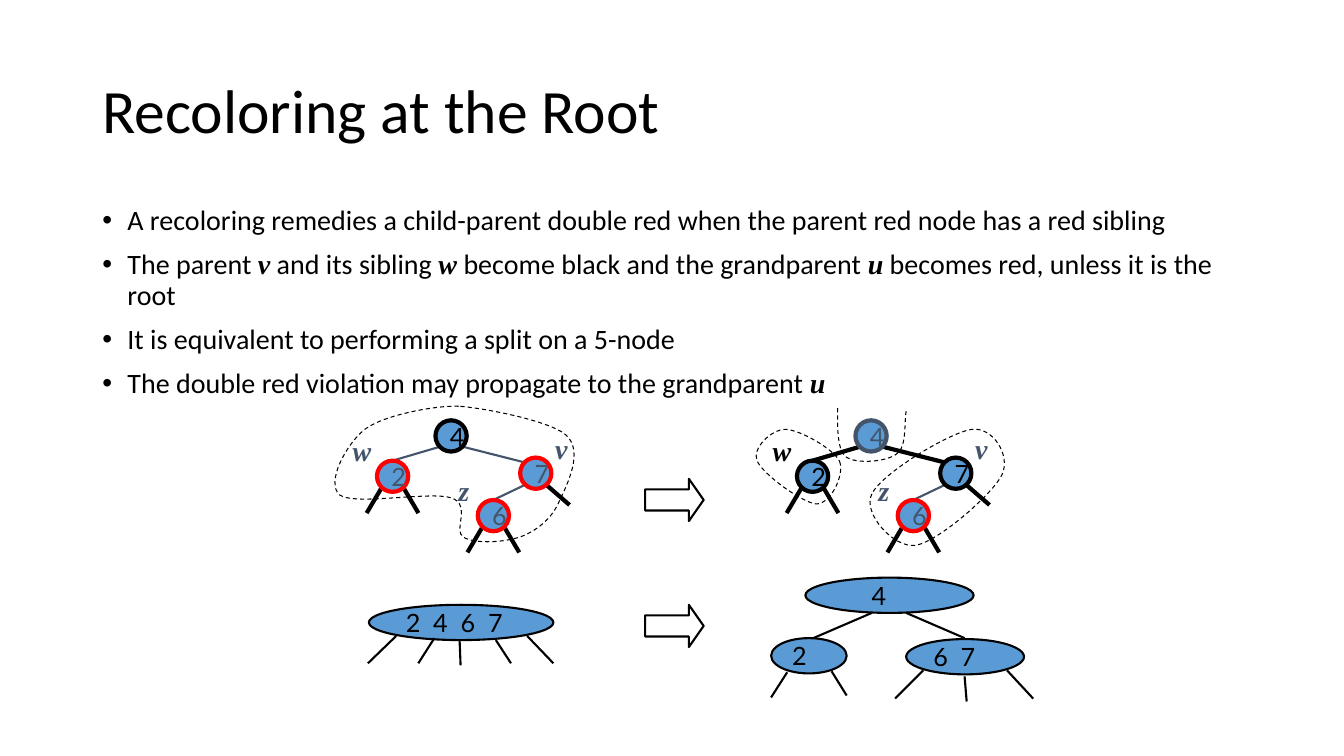
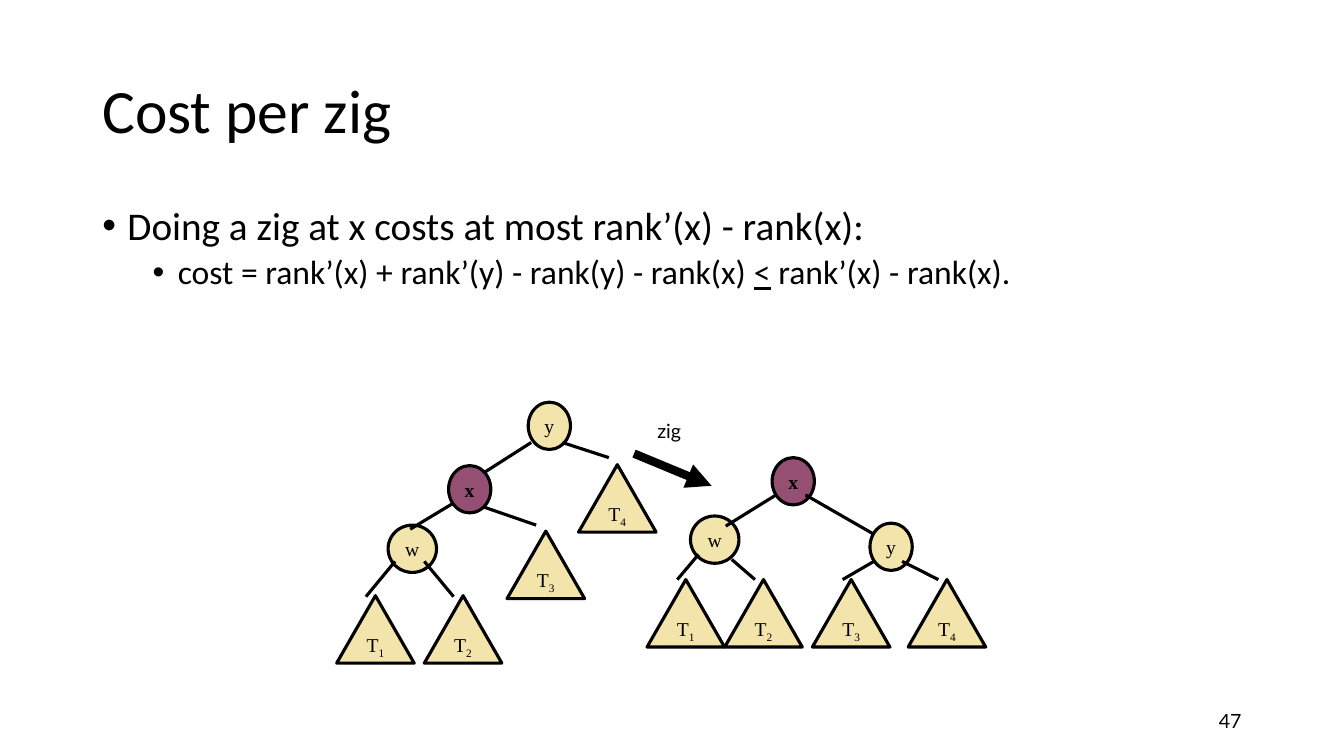
"""Build two slides on balanced search trees."""
from dataclasses import dataclass
from typing import NamedTuple, Optional

from lxml import etree
from pptx import Presentation
from pptx.dml.color import RGBColor
from pptx.enum import dml, shapes, text
from pptx.oxml import ns
from pptx.util import Pt

BLACK = RGBColor(0x00, 0x00, 0x00)
RED = RGBColor(0xFF, 0x00, 0x00)
SLATE = RGBColor(0x44, 0x54, 0x6A)
BLUE = RGBColor(0x5B, 0x9B, 0xD5)
CREAM = RGBColor(0xF2, 0xE4, 0xAA)
PLUM = RGBColor(0x95, 0x4F, 0x72)
BODY, NODE, SERIF = "Calibri", "Lato", "Times New Roman"
LEFT, CENTER, RIGHT = text.PP_ALIGN.LEFT, text.PP_ALIGN.CENTER, text.PP_ALIGN.RIGHT
TOP, MIDDLE = text.MSO_ANCHOR.TOP, text.MSO_ANCHOR.MIDDLE
OVAL = shapes.MSO_SHAPE.OVAL
TRIANGLE = shapes.MSO_SHAPE.ISOSCELES_TRIANGLE
ARROW = shapes.MSO_SHAPE.RIGHT_ARROW
DIAMETER = 22.3
KEY_PITCH = 19.6
TREE_SHIFT = 300


class Box(NamedTuple):
    x: float
    y: float
    w: float
    h: float


class Point(NamedTuple):
    x: float
    y: float

    def move(self, dx: float, dy: float) -> "Point":
        return Point(self.x + dx, self.y + dy)


class Edge(NamedTuple):
    x1: float
    y1: float
    x2: float
    y2: float


class Tone(NamedTuple):
    line: RGBColor
    ink: RGBColor


@dataclass(frozen=True)
class BinaryTree:
    dx: float
    root: Tone
    children: Tone
    w_ink: RGBColor
    edge: RGBColor
    edge_width: float


@dataclass(frozen=True)
class MultiNode:
    box: Box
    keys: str
    legs: tuple
    inset: float = 7.2


@dataclass(frozen=True)
class SplayNode:
    x: float
    y: float
    label: str


@dataclass(frozen=True)
class Bullet:
    text: str
    size: float
    level: int = 0


BLACK_NODE, RED_NODE, SLATE_NODE = Tone(BLACK, BLACK), Tone(RED, SLATE), Tone(SLATE, SLATE)

BINARY_TREES = (
    BinaryTree(0, BLACK_NODE, RED_NODE, SLATE, SLATE, 1.5),
    BinaryTree(TREE_SHIFT, SLATE_NODE, BLACK_NODE, BLACK, BLACK, 3),
)

MULTI_NODES = (
    MultiNode(Box(263.5, 432, 131.8, 25.2), "2\t4\t6\t7", (
        Edge(283, 454.3, 262.8, 473.8), Edge(310.3, 455.8, 298.8, 473.8),
        Edge(328.3, 457.2, 329, 475.2), Edge(354.2, 457.2, 365, 473.8),
        Edge(376.6, 454.3, 395.3, 473.8))),
    MultiNode(Box(575.3, 412.6, 120.2, 25.2), "4", (
        Edge(622.8, 437.8, 581, 455.8), Edge(647.3, 437.8, 689, 455.8)), 29.7),
    MultiNode(Box(550.8, 455.8, 54, 25.2), "2", (
        Edge(562.3, 480.2, 550.8, 498.2), Edge(594, 479.5, 604.8, 496.8))),
    MultiNode(Box(647.3, 456.5, 84.2, 25.2), "6\t7", (
        Edge(659.5, 478.8, 639.4, 499), Edge(689, 483.1, 690.5, 501.1),
        Edge(719.3, 478.8, 738, 499))),
)

OUTLINES = (
    ((327.6, 290.2), (313.2, 289.4), (275, 295.9), (260.6, 306.7),
     (247, 317.5), (232.6, 344.9), (242.6, 353.5),
     (253.4, 361.4), (307.4, 350.6), (322.6, 355.7),
     (337, 360.7), (323.3, 379.4), (331.2, 383.8),
     (339.8, 388.8), (361.4, 387.4), (373, 383),
     (383.8, 378.7), (394.6, 370.1), (399.6, 357.8),
     (405.4, 345.6), (416.9, 322.6), (404.6, 311),
     (393.1, 300.2), (342, 290.9), (327.6, 290.2)),
    ((622.8, 352.8), (615.6, 366.5), (638.6, 391.7), (653.8, 389.5),
     (669.6, 387.4), (709.2, 352.8), (715.7, 339.1),
     (722.2, 325.4), (709.2, 304.6), (694.1, 306.7),
     (678.2, 308.9), (629.3, 338.4), (622.8, 352.8)),
    ((598.3, 291.6), (598.3, 302.4), (597.6, 321.1), (604.1, 326.2),
     (611.3, 331.9), (634.3, 329.8), (640.8, 324),
     (648, 319), (645.8, 300.2), (647.3, 293.8)),
    ((599.8, 329.8), (603.4, 339.1), (593.3, 360), (583.2, 360),
     (573.1, 359.3), (544.3, 338.4), (540.7, 329),
     (537.1, 320.4), (550.8, 306.7), (560.9, 306.7),
     (571, 306.7), (596.2, 321.1), (599.8, 329.8)),
)

SPLAY_NODES = (
    SplayNode(320.4, 332.6, "x"), SplayNode(277.2, 375.1, "w"), SplayNode(377.3, 287.3, "y"),
    SplayNode(240.5, 425.5, "T1"), SplayNode(303.1, 425.5, "T2"),
    SplayNode(362.2, 379.4, "T3"), SplayNode(413.3, 331.9, "T4"),
    SplayNode(551.5, 326.9, "x"), SplayNode(493.2, 368.6, "w"), SplayNode(621.4, 373.7, "y"),
    SplayNode(462.2, 414, "T1"), SplayNode(517.7, 414, "T2"),
    SplayNode(580.3, 414, "T3"), SplayNode(648.7, 414, "T4"),
)

SPLAY_EDGES = (
    Edge(379.4, 316.1, 345.6, 337.7), Edge(401.8, 316.1, 434.9, 326.9),
    Edge(324, 359.3, 293, 378), Edge(345.6, 362.2, 383, 375.1),
    Edge(282.2, 401, 261.4, 426.2), Edge(303.1, 401, 324, 426.2),
    Edge(554.4, 353.5, 518.4, 375.8), Edge(575.3, 353.5, 624.2, 381.6),
    Edge(499, 396, 483.8, 414), Edge(522.7, 399.6, 539.3, 414),
    Edge(624.2, 401, 601.9, 414), Edge(644.4, 401, 670.3, 414),
)


def emu(values) -> list:
    return [Pt(v) for v in values]


def add_text(p, content: str, *, size: float, font: str = BODY, color: RGBColor = BLACK,
             bold: bool = False, italic: bool = False, underline: bool = False,
             baseline: int = 0) -> None:
    r = p.add_run()
    r.text = content
    f = r.font
    f.size, f.name, f.bold, f.italic, f.underline = Pt(size), font, bold, italic, underline
    f.color.rgb = color
    if baseline:
        r._r.get_or_add_rPr().set("baseline", str(baseline * 1000))


def setup_frame(sp, align=LEFT, anchor=MIDDLE, wrap: bool = True):
    tf = sp.text_frame
    tf.word_wrap, tf.vertical_anchor = wrap, anchor
    tf.paragraphs[0].alignment = align
    return tf.paragraphs[0]


def add_label(s, box: Box, content: str, *, align=LEFT, anchor=MIDDLE, wrap: bool = True,
              **fmt):
    p = setup_frame(s.shapes.add_textbox(*emu(box)), align, anchor, wrap)
    add_text(p, content, **fmt)
    return p


def add_figure(s, kind, box: Box, *, line: RGBColor = BLACK, width: float = 1.5,
               fill: Optional[RGBColor] = None):
    sp = s.shapes.add_shape(kind, *emu(box))
    style_outline(sp, line, width)
    if fill is not None:
        sp.fill.solid()
        sp.fill.fore_color.rgb = fill
    return sp


def style_outline(sp, line: RGBColor, width: float) -> None:
    sp.shadow.inherit = False
    sp.fill.background()
    sp.line.color.rgb, sp.line.width = line, Pt(width)


def add_edge(s, edge: Edge, *, color: RGBColor = BLACK, width: float = 1.5,
             arrow: bool = False) -> None:
    cx = s.shapes.add_connector(shapes.MSO_CONNECTOR.STRAIGHT, *emu(edge))
    cx.line.color.rgb, cx.line.width = color, Pt(width)
    if arrow:
        etree.SubElement(cx.line._get_or_add_ln(), ns.qn("a:tailEnd"), type="triangle")
    etree.SubElement(cx._element.spPr, ns.qn("a:effectLst"))


def add_outline(s, controls: tuple) -> None:
    builder = s.shapes.build_freeform(*emu(controls[0]))
    builder.add_line_segments([emu(c) for c in controls[1:]],
                              close=controls[0] == controls[-1])
    sp = builder.convert_to_shape()
    style_outline(sp, BLACK, 0.75)
    sp.line.dash_style = dml.MSO_LINE.DASH
    segments = list(sp._element.iter(ns.qn("a:lnTo")))
    for i in range(0, len(segments), 3):
        curve = etree.Element(ns.qn("a:cubicBezTo"))
        segments[i].addprevious(curve)
        for segment in segments[i:i + 3]:
            curve.append(segment[0])
            segment.getparent().remove(segment)


def add_content(s, title: str, bullets: tuple, **emphasis) -> None:
    p = add_label(s, Box(66, 28.8, 828, 104.4), title, size=44)
    p.line_spacing = 0.9
    sp = s.shapes.add_textbox(*emu(Box(66, 144, 828, 342.7)))
    p = setup_frame(sp, anchor=TOP)
    for i, item in enumerate(bullets):
        if i:
            p = sp.text_frame.add_paragraph()
        p.level = item.level
        pPr = p._p.get_or_add_pPr()
        pPr.set("marL", str(Pt(18 + 36 * item.level)))
        pPr.set("indent", str(Pt(-18)))
        etree.SubElement(pPr, ns.qn("a:buFont"), typeface="Arial")
        etree.SubElement(pPr, ns.qn("a:buChar"), char="•")
        p.line_spacing = 0.9
        p.space_before = Pt((5 if item.level else 10) if i else 0)
        for j, part in enumerate(item.text.split("|")):
            if part:
                add_text(p, part, size=item.size, **(emphasis if j % 2 else {}))


def add_binary_tree(s, tree: BinaryTree) -> None:
    root, w, v, z = (Point(x + tree.dx, y) for x, y in
                     ((322.2, 311.4), (280.4, 340.2), (382.7, 338), (352.4, 368.3)))
    radius = DIAMETER / 2
    branches = ((root.move(-7.6, 7.6), w.move(0, -radius), tree.edge, tree.edge_width),
                (root.move(8, 7.6), v.move(-7.6, -7.6), tree.edge, tree.edge_width),
                (v.move(-7.6, 8.3), z.move(0, -radius), SLATE, 1.5))
    legs = [(n.move(side * 8.3, 9), n.move(side * 18.5, 26.3), BLACK, 3)
            for n in (w, z) for side in (-1, 1)]
    legs.append((v.move(8.3, 9), v.move(24.1, 22.7), BLACK, 3))
    for start, end, color, width in (*branches, *legs):
        add_edge(s, Edge(*start, *end), color=color, width=width)
    for n, key, tone in ((root, "4", tree.root), (w, "2", tree.children),
                         (v, "7", tree.children), (z, "6", RED_NODE)):
        box = Box(n.x - radius, n.y - radius, DIAMETER, DIAMETER)
        sp = add_figure(s, OVAL, box, line=tone.line, width=3, fill=BLUE)
        add_text(setup_frame(sp, wrap=False), key, size=18, font=NODE, color=tone.ink)
    for name, x, y, ink in (("w", 244.8, 306, tree.w_ink), ("v", 389.5, 304.6, SLATE),
                            ("z", 320.4, 334.8, SLATE)):
        add_label(s, Box(x + tree.dx, y, 30, 31), name, anchor=TOP, size=20, font=SERIF,
                  color=ink, bold=True, italic=True)


def add_multi_node(s, node: MultiNode) -> None:
    sp = add_figure(s, OVAL, node.box, fill=BLUE)
    p = setup_frame(sp)
    sp.text_frame.margin_left = Pt(node.inset)
    if "\t" in node.keys:
        tabs = etree.SubElement(p._p.get_or_add_pPr(), ns.qn("a:tabLst"))
        for i in range(node.keys.count("\t")):
            etree.SubElement(tabs, ns.qn("a:tab"), pos=str(Pt(KEY_PITCH * (i + 1))), algn="l")
    add_text(p, node.keys, size=18, font=NODE)
    for leg in node.legs:
        add_edge(s, leg)


def add_splay_node(s, node: SplayNode) -> None:
    name, index = node.label[0], node.label[1:]
    kind, w, h = (TRIANGLE, 55.4, 48.2) if index else (OVAL, 34.6 if name == "w" else 30.2, 33.8)
    sp = add_figure(s, kind, Box(node.x, node.y, w, h), width=2.25,
                    fill=PLUM if name == "x" else CREAM)
    p = setup_frame(sp, CENTER, wrap=False)
    add_text(p, name, size=14, font=SERIF, bold=name == "x")
    if index:
        add_text(p, index, size=14, font=SERIF, baseline=-25)


def build_recoloring(s) -> None:
    add_content(s, "Recoloring at the Root", (
        Bullet("A recoloring remedies a child-parent double red when the parent red node "
               "has a red sibling", 20),
        Bullet("The parent |v| and its sibling |w| become black and the grandparent |u| "
               "becomes red, unless it is the root", 20),
        Bullet("It is equivalent to performing a split on a 5-node", 20),
        Bullet("The double red violation may propagate to the grandparent |u", 20),
    ), font=SERIF, bold=True, italic=True)
    for tree in BINARY_TREES:
        add_binary_tree(s, tree)
    for node in MULTI_NODES:
        add_multi_node(s, node)
    for controls in OUTLINES:
        add_outline(s, controls)
    for y in (342, 432):
        sp = add_figure(s, ARROW, Box(460.8, y, 41.8, 30.2))
        sp.adjustments[0], sp.adjustments[1] = 0.5, 0.35


def build_zig(s) -> None:
    add_content(s, "Cost per zig", (
        Bullet("Doing a zig at x costs at most rank’(x) - rank(x):", 28),
        Bullet("cost = rank’(x) + rank’(y) - rank(y) - rank(x) |<| rank’(x) - rank(x).", 24, 1),
    ), underline=True)
    add_label(s, Box(678, 500.4, 216, 28.8), "47", align=RIGHT, size=14, font=NODE)
    add_label(s, Box(462.2, 295.2, 31.7, 24.5), "zig", align=CENTER, wrap=False,
              size=14, font=NODE)
    for node in SPLAY_NODES:
        add_splay_node(s, node)
    for edge in SPLAY_EDGES:
        add_edge(s, edge, width=2.25)
    add_edge(s, Edge(452.9, 324, 508.3, 347), width=6, arrow=True)


def main() -> None:
    prs = Presentation()
    prs.slide_width, prs.slide_height = Pt(960), Pt(540)
    for build in (build_recoloring, build_zig):
        build(prs.slides.add_slide(prs.slide_layouts[6]))
    prs.save("out.pptx")


if __name__ == "__main__":
    main()
